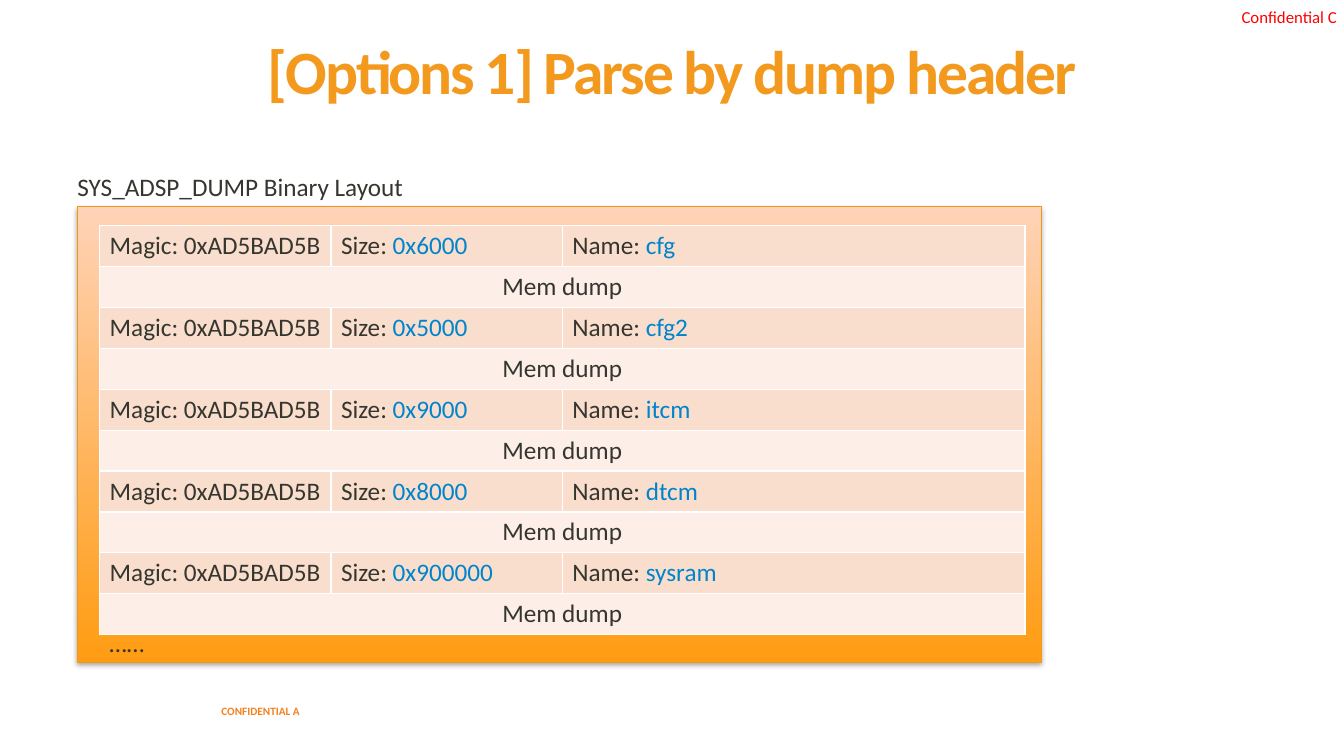
"""Build the slide that shows the binary layout of a memory dump."""
from dataclasses import dataclass

from lxml import etree
from pptx import Presentation
from pptx.dml.color import RGBColor
from pptx.enum import shapes, text
from pptx.oxml import ns, parse_xml
from pptx.util import Cm, Pt

ORANGE = RGBColor(0xF3, 0x9A, 0x1E)
FOOTER_ORANGE = RGBColor(0xF3, 0x82, 0x1E)
FRAME_LINE = RGBColor(0xF3, 0x97, 0x18)
FRAME_BOTTOM = RGBColor(0xFF, 0x9C, 0x12)
FRAME_TOP = RGBColor(0xFF, 0xD3, 0xB7)
RED = RGBColor(0xFF, 0x00, 0x00)
INK = RGBColor(0x35, 0x36, 0x30)
BLUE = RGBColor(0x00, 0x84, 0xCC)
HEADER_FILL = RGBColor(0xFA, 0xDE, 0xCD)
DUMP_FILL = RGBColor(0xFD, 0xEF, 0xE8)
FONT = "Calibri"
COLUMN_WIDTHS = (5.83, 5.83, 11.66)
ROW_HEIGHT = 1.03


@dataclass(frozen=True)
class Label:
    """A text box, with lengths in centimetres."""
    words: str
    left: float
    top: float
    width: float
    height: float
    size: float
    color: RGBColor
    bold: bool = False
    wrap: bool = True
    insets: tuple = (0.25, 0.13, 0.25, 0.13)
    anchor: text.MSO_ANCHOR = text.MSO_ANCHOR.TOP


@dataclass(frozen=True)
class Region:
    """A dumped memory region."""
    size: str
    name: str


TITLE = Label("[Options 1] Parse by dump header", 1.7, 1.19, 30.48, 3.53, 44, ORANGE,
              bold=True, insets=(0.25, 0, 0.25, 0.13))
LABELS = (
    Label("CONFIDENTIAL A", 5.33, 17.42, 5.97, 1.02, 8, FOOTER_ORANGE,
          bold=True, anchor=text.MSO_ANCHOR.MIDDLE),
    Label("Confidential C", 31.29, 0.18, 2.51, 0.51, 12, RED, insets=(0, 0, 0, 0)),
    Label("……", 2.51, 15.67, 1.57, 1.02, 18, INK),
    Label("SYS_ADSP_DUMP Binary Layout", 1.7, 4.19, 8.81, 1.02, 18, INK, wrap=False),
)
REGIONS = (
    Region("0x6000", "cfg"),
    Region("0x5000", "cfg2"),
    Region("0x9000", "itcm"),
    Region("0x8000", "dtcm"),
    Region("0x900000", "sysram"),
)


def style_run(r, size: float, color: RGBColor, bold: bool = False) -> None:
    """Set the font of a run."""
    r.font.name = FONT
    r.font.size = Pt(size)
    r.font.bold = bold
    r.font.color.rgb = color


def add_label(s, label: Label):
    """Draw a text box and return its paragraph."""
    sp = s.shapes.add_textbox(Cm(label.left), Cm(label.top), Cm(label.width), Cm(label.height))
    tf = sp.text_frame
    tf.word_wrap = label.wrap
    tf.vertical_anchor = label.anchor
    tf.margin_left, tf.margin_top, tf.margin_right, tf.margin_bottom = map(Cm, label.insets)
    p = tf.paragraphs[0]
    p.text = label.words
    style_run(p.runs[0], label.size, label.color, label.bold)
    return p


def add_title(s) -> None:
    """Draw the tightly spaced title."""
    p = add_label(s, TITLE)
    p.alignment = text.PP_ALIGN.CENTER
    p.line_spacing = 0.8
    p.runs[0].font._element.set("spc", "-150")


def add_frame(s) -> None:
    """Draw the gradient frame with its soft shadow."""
    sp = s.shapes.add_shape(shapes.MSO_SHAPE.RECTANGLE, Cm(1.96), Cm(5.21), Cm(24.28), Cm(11.48))
    sp.fill.gradient()
    sp.fill.gradient_angle = 90
    for stop, color in zip(sp.fill.gradient_stops, (FRAME_BOTTOM, FRAME_TOP)):
        stop.color.rgb = color
    for stop, position in zip(sp.fill.gradient_stops, (0, 1)):
        stop.position = position
    sp.line.color.rgb = FRAME_LINE
    sp.line.width = Pt(0.75)
    sp.shadow.inherit = False
    effects = sp._element.spPr.find(ns.qn("a:effectLst"))
    effects.append(parse_xml(
        f'<a:outerShdw {ns.nsdecls("a")} blurRad="{Pt(3.1)}" dist="{Pt(1.8)}" dir="5400000"'
        ' rotWithShape="0"><a:srgbClr val="000000"><a:alpha val="35000"/></a:srgbClr>'
        '</a:outerShdw>'))


def style_cell(cell, fill: RGBColor) -> None:
    """Fill a cell and give it white borders."""
    cell.fill.solid()
    cell.fill.fore_color.rgb = fill
    tc_pr = cell._tc.get_or_add_tcPr()
    for i, side in enumerate(("lnL", "lnR", "lnT", "lnB")):
        ln = etree.Element(ns.qn(f"a:{side}"), w=str(Pt(1)))
        solid = etree.SubElement(ln, ns.qn("a:solidFill"))
        etree.SubElement(solid, ns.qn("a:srgbClr"), val="FFFFFF")
        tc_pr.insert(i, ln)


def write_cell(cell, label: str, value: str = "") -> None:
    """Write a dark label and a blue value into a cell."""
    p = cell.text_frame.paragraphs[0]
    for words, color in ((label, INK), (value, BLUE)):
        if words:
            r = p.add_run()
            r.text = words
            style_run(r, 18, color)


def add_layout_table(s) -> None:
    """Draw a header row and a dump row for each region."""
    rows = 2 * len(REGIONS)
    table = s.shapes.add_table(rows, len(COLUMN_WIDTHS), Cm(2.51), Cm(5.69),
                               Cm(sum(COLUMN_WIDTHS)), Cm(ROW_HEIGHT * rows)).table
    for column, width in zip(table.columns, COLUMN_WIDTHS):
        column.width = Cm(width)
    for i, row in enumerate(table.rows):
        row.height = Cm(ROW_HEIGHT)
        for cell in row.cells:
            style_cell(cell, DUMP_FILL if i % 2 else HEADER_FILL)
    for i, region in enumerate(REGIONS):
        top = 2 * i
        write_cell(table.cell(top, 0), "Magic: 0xAD5BAD5B")
        write_cell(table.cell(top, 1), "Size: ", region.size)
        write_cell(table.cell(top, 2), "Name: ", region.name)
        dump = table.cell(top + 1, 0)
        dump.merge(table.cell(top + 1, 2))
        write_cell(dump, "Mem dump")
        dump.text_frame.paragraphs[0].alignment = text.PP_ALIGN.CENTER


def main() -> None:
    """Build and save the slide."""
    prs = Presentation()
    prs.slide_width, prs.slide_height = Cm(33.87), Cm(19.05)
    s = prs.slides.add_slide(prs.slide_layouts[6])
    add_title(s)
    add_frame(s)
    add_layout_table(s)
    for label in LABELS:
        add_label(s, label)
    prs.save("out.pptx")


if __name__ == "__main__":
    main()
